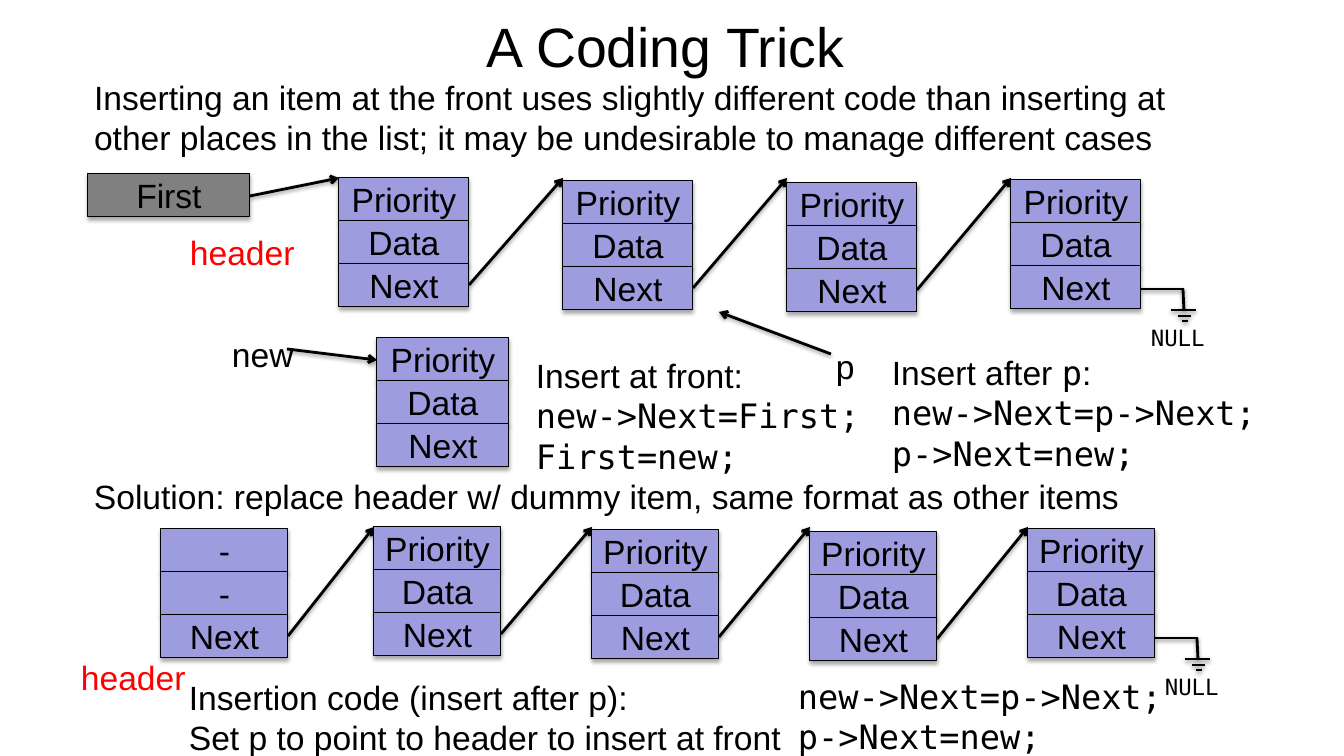
import pptx
import pptx.util
import pptx.dml.color
import pptx.enum.shapes
import pptx.enum.text
import pptx.oxml

PX = 914400 / 100.8
COLORS = {"black": "000000", "red": "FF0000", "node": "9C9CDF", "pointer": "808080"}
SANS, MONO = "Arial", "DejaVu Sans Mono"
DRAWING = "http://schemas.openxmlformats.org/drawingml/2006/main"
CENTER = pptx.enum.text.PP_ALIGN.CENTER
MIDDLE = pptx.enum.text.MSO_ANCHOR.MIDDLE


def add_shadow(shape, opacity, distance):
    shape._element.spPr.append(pptx.oxml.parse_xml(
        f'<a:effectLst xmlns:a="{DRAWING}"><a:outerShdw blurRad="39370" '
        f'dist="{pptx.util.Pt(distance)}" dir="5400000" rotWithShape="0">'
        f'<a:srgbClr val="{COLORS["black"]}"><a:alpha val="{opacity * 1000}"/>'
        '</a:srgbClr></a:outerShdw></a:effectLst>'))


def format_runs(paragraph, size=24, color="black", name=SANS):
    for run in paragraph.runs:
        run.font.size = pptx.util.Pt(size)
        run.font.name = name
        run.font.color.rgb = pptx.dml.color.RGBColor.from_string(COLORS[color])


presentation = pptx.Presentation()
presentation.slide_width = round(1344 * PX)
presentation.slide_height = round(756 * PX)
slide = presentation.slides.add_slide(presentation.slide_layouts[1])

title, body = slide.placeholders
for placeholder, box, text, size in [
    (title, (212, 10, 907, 71), "A Coding Trick", 39.6),
    (body, (84, 72, 1142, 84),
     "Inserting an item at the front uses slightly different code than inserting at "
     "other places in the list; it may be undesirable to manage different cases", 24),
]:
    placeholder.left, placeholder.top, placeholder.width, placeholder.height = [
        round(length * PX) for length in box]
    placeholder.text_frame.text = text
    placeholder.text_frame.auto_size = pptx.enum.text.MSO_AUTO_SIZE.NONE
    format_runs(placeholder.text_frame.paragraphs[0], size)
title.text_frame.vertical_anchor = MIDDLE
title.text_frame.paragraphs[0].alignment = CENTER
body_paragraph = body.text_frame.paragraphs[0]
body_paragraph.space_before = pptx.util.Pt(0)
properties = body_paragraph._p.get_or_add_pPr()
properties.set("marL", "0")
properties.set("indent", "0")
properties.append(pptx.oxml.parse_xml(f'<a:buNone xmlns:a="{DRAWING}"/>'))

ROW = 43
FIELDS = ("Priority", "Data", "Next")
old_list = [(339 + 224 * i, top, 130, FIELDS) for i, top in enumerate((178, 181, 183, 180))]
dummy_list = [(161, 529, 127, ("-", "-", "Next"))]
dummy_list += [(374 + 218 * i, top, 127, FIELDS) for i, top in enumerate((527, 530, 532, 529))]
new_node = (377, 338, 132, FIELDS)

arrows = [(250, 196, 339, 178), (287, 349, 377, 360), (831, 354, 719, 312)]
ground_lines = []
texts = [
    (222, 329, 83, 50, 24, "black", ["new"]),
    (180, 227, 126, 50, 24, "red", ["header"]),
    (71, 652, 148, 50, 24, "red", ["header"]),
    (826, 341, 39, 50, 24, "black", ["p"]),
    (526, 350, 346, 132, 24, "black",
     ["Insert at front:", "|new->Next=First;", "|First=new;"]),
    (882, 347, 386, 132, 24, "black",
     ["Insert after |p|:", "|new->Next=p->Next;", "|p->Next=new;"]),
    (84, 471, 1154, 51, 24, "black",
     ["Solution: replace header w/ dummy item, same format as other items"]),
    (788, 671, 455, 92, 24, "black", ["|new->Next=p->Next;", "|p->Next=new;"]),
    (179, 672, 728, 92, 24, "black",
     ["Insertion code (insert after p):", "Set p to point to header to insert at front"]),
]

GROUND = [(0, 0, 43, 0), (42, 0, 43, 21), (30, 21, 55, 21), (37, 27, 50, 27), (41, 32, 47, 32)]
for nodes, arrow_top in [(old_list, 178), (dummy_list, 527)]:
    for (left, top, width, fields), following in zip(nodes, nodes[1:]):
        arrows.append((left + width, top + 107, following[0], arrow_top))
    left, top, width, fields = nodes[-1]
    ground_left, ground_top = left + width, top + 109
    for x1, y1, x2, y2 in GROUND:
        ground_lines.append((ground_left + x1, ground_top + y1, ground_left + x2, ground_top + y2))
    texts.append((ground_left, ground_top + 30, 90, 37, 16, "black", ["|NULL"]))

for ends in arrows + ground_lines:
    connector = slide.shapes.add_connector(
        pptx.enum.shapes.MSO_CONNECTOR.STRAIGHT, *[round(length * PX) for length in ends])
    connector.line.width = pptx.util.Pt(2)
    connector.line.color.rgb = pptx.dml.color.RGBColor.from_string(COLORS["black"])
    if ends in arrows:
        connector.line._get_or_add_ln().append(
            pptx.oxml.parse_xml(f'<a:tailEnd xmlns:a="{DRAWING}" type="arrow"/>'))
    add_shadow(connector, 38, 1.6)

cells = [(88, 174, 162, "pointer", "First")]
for left, top, width, fields in old_list + [new_node] + dummy_list:
    for i, field in enumerate(fields):
        cells.append((left, top + ROW * i, width, "node", field))

for left, top, width, fill, label in cells:
    cell = slide.shapes.add_shape(
        pptx.enum.shapes.MSO_SHAPE.RECTANGLE,
        *[round(length * PX) for length in (left, top, width, ROW)])
    cell.fill.solid()
    cell.fill.fore_color.rgb = pptx.dml.color.RGBColor.from_string(COLORS[fill])
    cell.line.width = pptx.util.Pt(0.75)
    cell.line.color.rgb = pptx.dml.color.RGBColor.from_string(COLORS["black"])
    add_shadow(cell, 35, 1.8)
    frame = cell.text_frame
    frame.text = label
    frame.margin_top = frame.margin_bottom = 0
    frame.vertical_anchor = MIDDLE
    frame.paragraphs[0].alignment = CENTER
    format_runs(frame.paragraphs[0])

for left, top, width, height, size, color, lines in texts:
    textbox = slide.shapes.add_textbox(
        *[round(length * PX) for length in (left, top, width, height)])
    frame = textbox.text_frame
    frame.word_wrap = False
    frame.auto_size = pptx.enum.text.MSO_AUTO_SIZE.SHAPE_TO_FIT_TEXT
    frame.text = "\n".join(lines)
    for paragraph, line in zip(frame.paragraphs, lines):
        pieces = line.split("|")
        paragraph.text = pieces[0]
        for piece in pieces[1:]:
            paragraph.add_run().text = piece
        format_runs(paragraph, size, color)
        for run in paragraph.runs[-1:] if line.startswith("|") else paragraph.runs[1:2]:
            run.font.name = MONO

presentation.save("out.pptx")
